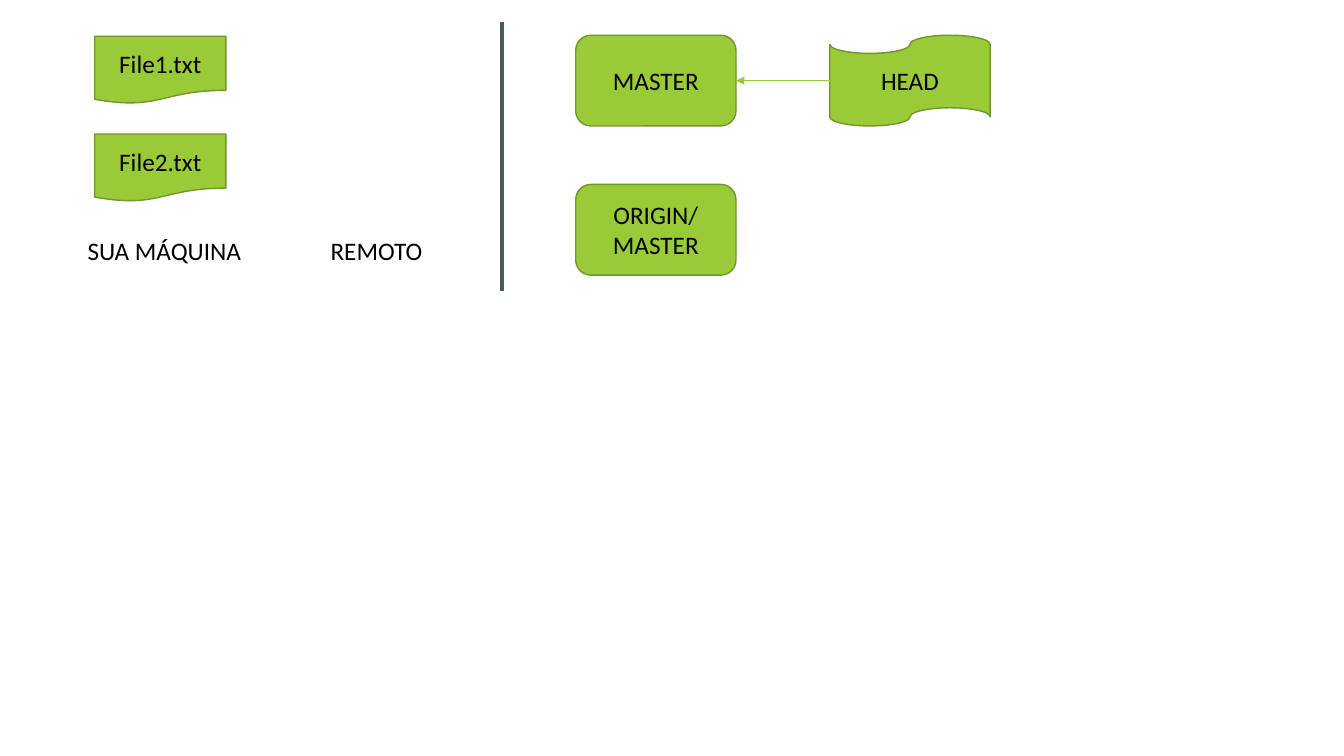
from dataclasses import dataclass

from lxml import etree
from pptx import Presentation
from pptx.dml.color import RGBColor
from pptx.enum.shapes import MSO_CONNECTOR, MSO_SHAPE
from pptx.enum.text import MSO_ANCHOR, MSO_AUTO_SIZE, PP_ALIGN
from pptx.oxml.ns import qn
from pptx.shapes.autoshape import Shape
from pptx.shapes.connector import Connector
from pptx.slide import Slide
from pptx.util import Inches, Pt

DOCUMENT = MSO_SHAPE.FLOWCHART_DOCUMENT
BRANCH = MSO_SHAPE.ROUNDED_RECTANGLE
TAPE = MSO_SHAPE.FLOWCHART_PUNCHED_TAPE
STRAIGHT = MSO_CONNECTOR.STRAIGHT
CENTER = PP_ALIGN.CENTER
LEFT = PP_ALIGN.LEFT
MIDDLE = MSO_ANCHOR.MIDDLE
FIT_SHAPE = MSO_AUTO_SIZE.SHAPE_TO_FIT_TEXT
LEFT_SITE, RIGHT_SITE = 1, 3

COLORS = {
    "green": "99CB38",
    "outline": "719629",
    "divider": "455F51",
    "text": "000000",
}
FONT = "Calibri"
FONT_SIZE = Pt(18)
FILE_SIZE = (1.3, 0.67)
REFERENCE_SIZE = (1.59, 0.9)
FILE_LEFT = 0.94
BRANCH_LEFT = 5.71
REFERENCE_TOP = 0.35


@dataclass(frozen=True)
class Node:
    text: str
    kind: MSO_SHAPE
    left: float
    top: float
    size: tuple[float, float]


@dataclass(frozen=True)
class Label:
    text: str
    left: float
    width: float


FILES = [
    Node(f"File{number}.txt", DOCUMENT, FILE_LEFT, 0.36 + 0.97 * (number - 1), FILE_SIZE)
    for number in (1, 2)
]
LABELS = [Label("SUA MÁQUINA", 0.77, 1.74), Label("REMOTO", 3.18, 1.15)]
MASTER = Node("MASTER", BRANCH, BRANCH_LEFT, REFERENCE_TOP, REFERENCE_SIZE)
ORIGIN_MASTER = Node("ORIGIN/\nMASTER", BRANCH, BRANCH_LEFT, 1.83, REFERENCE_SIZE)
HEAD = Node("HEAD", TAPE, 8.23, REFERENCE_TOP, REFERENCE_SIZE)


def color(name: str) -> RGBColor:
    return RGBColor.from_string(COLORS[name])


def write_text(shape: Shape, text: str, alignment: PP_ALIGN) -> None:
    paragraph = shape.text_frame.paragraphs[0]
    paragraph.alignment = alignment
    for index, line in enumerate(text.split("\n")):
        if index:
            paragraph.add_line_break()
        run = paragraph.add_run()
        run.text = line
        run.font.name = FONT
        run.font.size = FONT_SIZE
        run.font.color.rgb = color("text")


def add_node(slide: Slide, node: Node) -> Shape:
    width, height = node.size
    shape = slide.shapes.add_shape(
        node.kind, Inches(node.left), Inches(node.top), Inches(width), Inches(height)
    )
    shape.shadow.inherit = False
    shape.fill.solid()
    shape.fill.fore_color.rgb = color("green")
    shape.line.color.rgb = color("outline")
    shape.line.width = Pt(1)
    shape.text_frame.word_wrap = True
    shape.text_frame.vertical_anchor = MIDDLE
    write_text(shape, node.text, CENTER)
    return shape


def add_label(slide: Slide, label: Label) -> None:
    text_box = slide.shapes.add_textbox(
        Inches(label.left), Inches(2.29), Inches(label.width), Inches(0.4)
    )
    text_box.text_frame.word_wrap = False
    text_box.text_frame.auto_size = FIT_SHAPE
    write_text(text_box, label.text, LEFT)


def add_line(
    slide: Slide, start: tuple[float, float], end: tuple[float, float], line_color: str, width: float
) -> Connector:
    connector = slide.shapes.add_connector(
        STRAIGHT, *(Inches(value) for value in (*start, *end))
    )
    connector.line.color.rgb = color(line_color)
    connector.line.width = Pt(width)
    etree.SubElement(connector.element.spPr, qn("a:effectLst"))
    return connector


def add_arrow(slide: Slide, source: Shape, target: Shape) -> None:
    arrow = add_line(slide, (0, 0), (0, 0), "green", 0.5)
    arrow.begin_connect(source, LEFT_SITE)
    arrow.end_connect(target, RIGHT_SITE)
    line_properties = arrow.element.spPr.find(qn("a:ln"))
    etree.SubElement(line_properties, qn("a:tailEnd"), type="triangle")


def main() -> None:
    presentation = Presentation()
    presentation.slide_width = Inches(13.33)
    presentation.slide_height = Inches(7.5)
    slide = presentation.slides.add_slide(presentation.slide_layouts[6])

    for file_node in FILES:
        add_node(slide, file_node)
    for label in LABELS:
        add_label(slide, label)
    master = add_node(slide, MASTER)
    add_node(slide, ORIGIN_MASTER)
    head = add_node(slide, HEAD)
    add_arrow(slide, head, master)
    add_line(slide, (4.98, 0.22), (4.98, 2.89), "divider", 2.75)

    presentation.save("out.pptx")


main()
